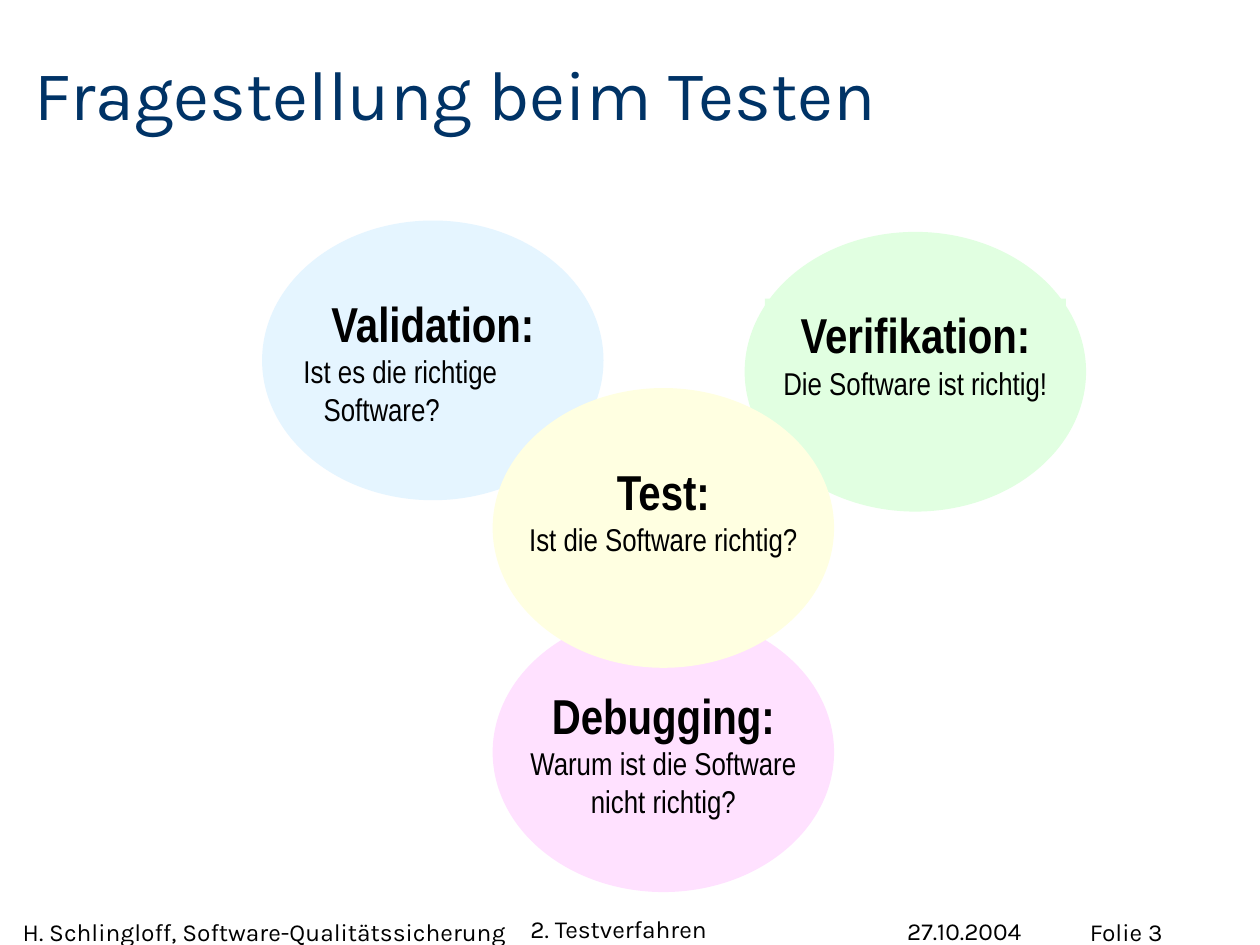
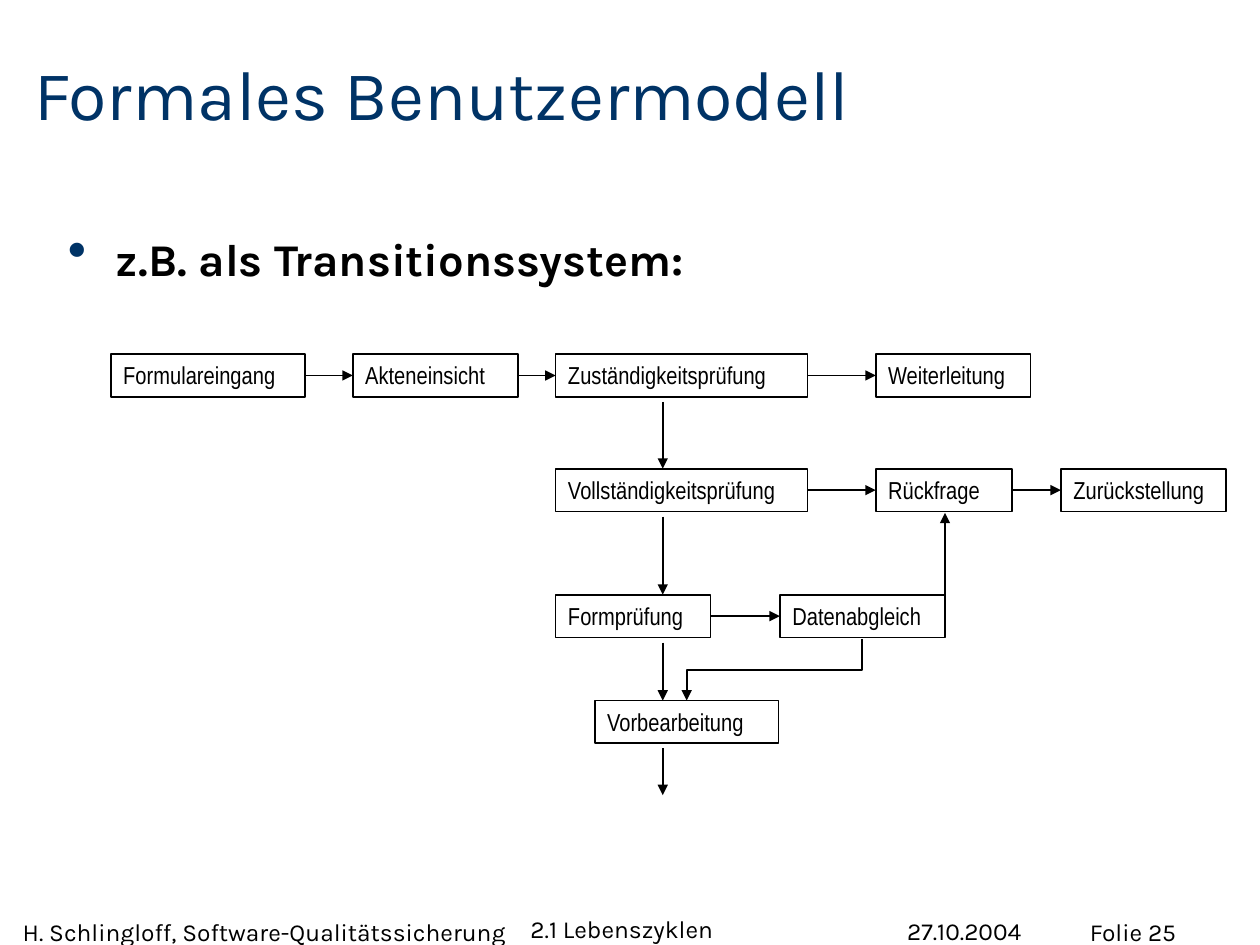
from dataclasses import dataclass

from lxml import etree
from pptx import Presentation
from pptx import util as u
from pptx.dml.color import RGBColor
from pptx.enum import shapes, text
from pptx.oxml import ns


@dataclass(frozen=True)
class Theme:
    """Colours, fonts and type sizes of the deck."""
    navy: str = "003366"
    black: str = "000000"
    green: str = "E1FFE1"
    pink: str = "FFE1FF"
    blue: str = "E5F5FF"
    yellow: str = "FFFFE1"
    main_font: str = "Karla"
    diagram_font: str = "Arial Narrow"
    title_size: float = 40
    heading_size: float = 28
    bullet_size: float = 25.9
    question_size: float = 18
    small_size: float = 14
    line_width: float = 1


def set_attributes(target, values):
    """Set every named attribute of the target."""
    for name, value in values.items():
        setattr(target, name, value)


def add_xml(parent, tag, **attributes):
    """Append a drawing element to the parent."""
    return etree.SubElement(parent, ns.qn(tag), attributes)


class Deck:
    """Holds the theme and the current slide and draws its elements."""

    def __init__(self, theme):
        """Start an empty presentation of 10 by 7.5 inches."""
        self.theme = theme
        self.presentation = Presentation()
        set_attributes(self.presentation, {
            "slide_width": u.Inches(10), "slide_height": u.Inches(7.5)})
        self.slide = None

    def add_slide(self, title, chapter, number):
        """Open a slide with its title and footer."""
        theme = self.theme
        self.slide = self.presentation.slides.add_slide(self.presentation.slide_layouts[6])
        bottom = text.MSO_ANCHOR.BOTTOM
        title_frame = self.text_box(0.27, 0.36, 9.51, 0.71, anchor=bottom)
        self.paragraph(title_frame, title, theme.title_size, colour=theme.navy)
        footers = [
            (f"Folie {number}", 8.65, 7.28, 1.44, 0.27, text.MSO_ANCHOR.TOP, False),
            ("H. Schlingloff, Software-Qualitätssicherung",
             0.18, 7.28, 3.93, 0.23, text.MSO_ANCHOR.TOP, False),
            (chapter, 4.21, 7.21, 2.91, 0.28, bottom, True),
            ("27.10.2004", 7.2, 7.29, 1.57, 0.21, bottom, True),
        ]
        for label, left, top, width, height, anchor, wrap in footers:
            frame = self.text_box(left, top, width, height, anchor=anchor, wrap=wrap)
            self.paragraph(frame, label, theme.small_size)

    def shape(self, kind, left, top, width, height, fill=None, line=None):
        """Add a preset shape, with optional fill and line."""
        shape = self.slide.shapes.add_shape(
            kind, *map(u.Inches, (left, top, width, height)))
        shape.shadow.inherit = False
        if fill:
            shape.fill.solid()
            shape.fill.fore_color.rgb = RGBColor.from_string(fill)
        else:
            shape.fill.background()
        if line:
            shape.line.color.rgb = RGBColor.from_string(line)
            shape.line.width = u.Pt(self.theme.line_width)
        else:
            shape.line.fill.background()
        return shape

    def format_frame(self, frame, inset=(0, 0), anchor=text.MSO_ANCHOR.TOP, wrap=True):
        """Set the insets, anchor and wrapping of a text frame."""
        side, edge = map(u.Inches, inset)
        set_attributes(frame, {
            "margin_left": side, "margin_right": side, "margin_top": edge,
            "margin_bottom": edge, "vertical_anchor": anchor, "word_wrap": wrap})
        return frame

    def text_box(self, left, top, width, height, **layout):
        """Add a text box and return its frame."""
        box = self.slide.shapes.add_textbox(
            *map(u.Inches, (left, top, width, height)))
        return self.format_frame(box.text_frame, **layout)

    def paragraph(self, frame, words, size, font=None, colour=None, bold=False,
                  align=text.PP_ALIGN.LEFT, indent=0):
        """Write the words into the next paragraph of a frame."""
        paragraph = frame.paragraphs[0]
        if paragraph.runs:
            paragraph = frame.add_paragraph()
        paragraph.alignment = align
        if indent:
            paragraph._p.get_or_add_pPr().set("marL", str(u.Inches(indent)))
        run = paragraph.add_run()
        run.text = words
        set_attributes(run.font, {
            "name": font or self.theme.main_font, "size": u.Pt(size), "bold": bold})
        run.font.color.rgb = RGBColor.from_string(colour or self.theme.black)
        return paragraph

    def bullet(self, words, left, top, width, height):
        """Add a bold bullet line."""
        frame = self.text_box(left, top, width, height, inset=(0.11, 0.05))
        paragraph = self.paragraph(
            frame, words, self.theme.bullet_size, bold=True, indent=0.38)
        set_attributes(paragraph, {"line_spacing": 0.6, "space_before": u.Pt(14)})
        properties = paragraph._p.get_or_add_pPr()
        properties.set("indent", str(u.Inches(-0.38)))
        add_xml(add_xml(properties, "a:buClr"), "a:srgbClr", val=self.theme.navy)
        add_xml(properties, "a:buSzPct", val="120000")
        add_xml(properties, "a:buChar", char="•")

    def bubble(self, heading, lines, left, top, colour, indents=(), filled=False):
        """Add an ellipse with a heading and its question."""
        theme = self.theme
        self.shape(shapes.MSO_SHAPE.OVAL, left, top, 2.71, 2.22, fill=colour)
        label = self.shape(shapes.MSO_SHAPE.RECTANGLE, left + 0.16, top + 0.53, 2.39,
                           0.87, fill=colour if filled else None)
        frame = self.format_frame(label.text_frame, inset=(0.1, 0.05))
        centre = text.PP_ALIGN.CENTER
        self.paragraph(frame, heading, theme.heading_size, theme.diagram_font,
                       bold=True, align=centre)
        for index, line in enumerate(lines):
            placing = {"indent": indents[index]} if indents else {"align": centre}
            self.paragraph(frame, line, theme.question_size, theme.diagram_font, **placing)

    def state(self, label, left, top, width, height):
        """Add an outlined state of the transition system."""
        box = self.shape(shapes.MSO_SHAPE.RECTANGLE, left, top, width, height,
                         line=self.theme.black)
        frame = self.format_frame(box.text_frame, inset=(0.1, 0.05))
        self.paragraph(frame, label, self.theme.small_size, self.theme.diagram_font)

    def arrow(self, start, end, kind=shapes.MSO_CONNECTOR.STRAIGHT):
        """Add a connector with an arrowhead at its end."""
        connector = self.slide.shapes.add_connector(
            kind, *map(u.Inches, (*start, *end)))
        connector.line.color.rgb = RGBColor.from_string(self.theme.black)
        connector.line.width = u.Pt(self.theme.line_width)
        add_xml(connector.line._get_or_add_ln(), "a:tailEnd", type="triangle",
                w="med", len="med")
        add_xml(connector._element.spPr, "a:effectLst")
        return connector

    def elbow_down_left(self, start, end):
        """Add a bent arrow that leaves downwards and ends lower left."""
        middle_x, middle_y = (start[0] + end[0]) / 2, (start[1] + end[1]) / 2
        half_drop, half_run = (end[1] - start[1]) / 2, (start[0] - end[0]) / 2
        connector = self.arrow((middle_x - half_drop, middle_y - half_run),
                               (middle_x + half_drop, middle_y + half_run),
                               shapes.MSO_CONNECTOR.ELBOW)
        connector._element.spPr.find(ns.qn("a:xfrm")).set("rot", "5400000")


def build_questions(deck):
    """Draw the slide on the questions behind testing."""
    theme = deck.theme
    deck.add_slide("Fragestellung beim Testen", "2. Testverfahren", 3)
    deck.bubble("Verifikation:", ["Die Software ist richtig!"], 5.91, 1.84,
                theme.green, filled=True)
    deck.bubble("Debugging:", ["Warum ist die Software nicht richtig?"], 3.91, 4.86,
                theme.pink)
    deck.bubble("Validation:", ["Ist es die richtige", "Software?"], 2.08, 1.75,
                theme.blue, indents=(0.07, 0.23))
    deck.bubble("Test:", ["Ist die Software richtig?"], 3.91, 3.08, theme.yellow)


def build_user_model(deck):
    """Draw the slide with the transition system."""
    deck.add_slide("Formales Benutzermodell", "2.1 Lebenszyklen", 25)
    deck.bullet("z.B. als Transitionssystem:", 0.43, 1.94, 6.46, 0.42)
    state_height, trunk_x, exit_y = 0.34, 5.26, 6.31
    rows = {
        2.81: [("Formulareingang", 0.88, 1.54), ("Akteneinsicht", 2.8, 1.31),
               ("Zuständigkeitsprüfung", 4.41, 2), ("Weiterleitung", 6.95, 1.23)],
        3.72: [("Vollständigkeitsprüfung", 4.41, 2), ("Rückfrage", 6.95, 1.08),
               ("Zurückstellung", 8.42, 1.31)],
        4.72: [("Formprüfung", 4.41, 1.23), ("Datenabgleich", 6.19, 1.31)],
        5.56: [("Vorbearbeitung", 4.72, 1.46)],
    }
    for top, states in rows.items():
        for label, left, width in states:
            deck.state(label, left, top, width, state_height)
        middle = top + state_height / 2
        for (_, left, width), (_, next_left, _) in zip(states, states[1:]):
            deck.arrow((left + width, middle), (next_left, middle))
    tops = list(rows)
    for top, next_top in zip(tops, tops[1:] + [exit_y]):
        deck.arrow((trunk_x, top + 0.38), (trunk_x, next_top))
    deck.elbow_down_left((6.84, 5.07), (5.45, 5.56))
    deck.arrow((7.5, 4.9), (7.5, 4.07))


def main():
    """Build both slides and save them."""
    deck = Deck(Theme())
    build_questions(deck)
    build_user_model(deck)
    deck.presentation.save("out.pptx")


if __name__ == "__main__":
    main()
